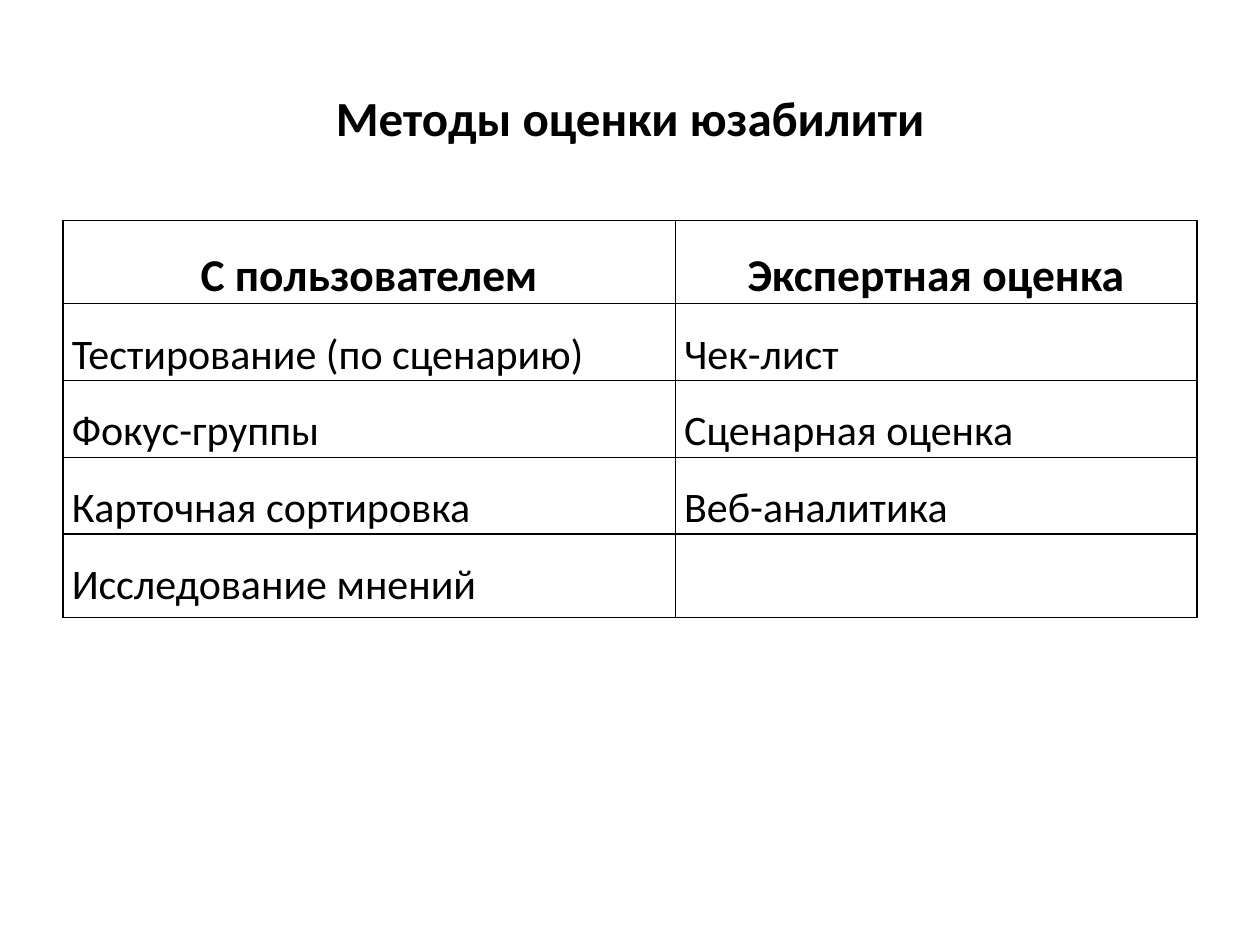
from pptx import Presentation
from pptx.dml.color import RGBColor
from pptx.enum.text import MSO_ANCHOR, PP_ALIGN
from pptx.oxml import parse_xml
from pptx.oxml.ns import nsdecls
from pptx.util import Inches, Pt

BLACK = RGBColor(0x00, 0x00, 0x00)
WHITE = RGBColor(0xFF, 0xFF, 0xFF)
LEFT, CENTER = PP_ALIGN.LEFT, PP_ALIGN.CENTER
MIDDLE = MSO_ANCHOR.MIDDLE
BORDER_SIDES = ("lnL", "lnR", "lnT", "lnB")


class SlideBuilder:
    font_name = "Calibri"
    title_size = 28
    header_size = 26
    body_size = 24
    cell_margin = 0.07
    line_spacing = 1.5
    border_width = 1

    def __init__(self, presentation):
        self.width = presentation.slide_width
        self.height = presentation.slide_height
        self.slide = presentation.slides.add_slide(presentation.slide_layouts[6])
        self.slide.background.fill.solid()
        self.slide.background.fill.fore_color.rgb = WHITE

    def box(self, left, top, width, height):
        return (int(left * self.width), int(top * self.height),
                int(width * self.width), int(height * self.height))

    def add_text(self, paragraph, text, size, bold, alignment):
        paragraph.alignment = alignment
        run = paragraph.add_run()
        run.text = text
        run.font.name = self.font_name
        run.font.size = Pt(size)
        run.font.bold = bold
        run.font.color.rgb = BLACK

    def title(self, text, *shares):
        shape = self.slide.shapes.add_textbox(*self.box(*shares))
        frame = shape.text_frame
        frame.word_wrap = True
        frame.vertical_anchor = MIDDLE
        self.add_text(frame.paragraphs[0], text, self.title_size, True, CENTER)

    def style_cell(self, cell):
        cell.margin_left = cell.margin_right = Inches(self.cell_margin)
        cell.margin_top = cell.margin_bottom = 0
        properties = cell._tc.get_or_add_tcPr()
        for side in BORDER_SIDES:
            properties.append(parse_xml(
                f'<a:{side} {nsdecls("a")} w="{Pt(self.border_width)}">'
                f'<a:solidFill><a:srgbClr val="{BLACK}"/></a:solidFill></a:{side}>'))
        cell.fill.background()

    def table(self, rows, column_shares, row_heights, *shares):
        shape = self.slide.shapes.add_table(
            len(rows), len(column_shares), *self.box(*shares))
        table = shape.table
        table.horz_banding = False
        for column, share in zip(table.columns, column_shares):
            column.width = int(0.9 * self.width * share)
        for row_index, texts in enumerate(rows):
            table.rows[row_index].height = Inches(row_heights[row_index])
            header = row_index == 0
            size = self.header_size if header else self.body_size
            for column_index, text in enumerate(texts):
                cell = table.cell(row_index, column_index)
                self.style_cell(cell)
                if text:
                    paragraph = cell.text_frame.paragraphs[0]
                    paragraph.line_spacing = self.line_spacing
                    self.add_text(paragraph, text, size, header,
                                  CENTER if header else LEFT)


presentation = Presentation()
presentation.slide_width = Inches(10)
presentation.slide_height = Inches(7.5)

METHODS = [
    ("С пользователем", "Экспертная оценка"),
    ("Тестирование (по сценарию)", "Чек-лист"),
    ("Фокус-группы", "Сценарная оценка"),
    ("Карточная сортировка", "Веб-аналитика"),
    ("Исследование мнений", ""),
]

builder = SlideBuilder(presentation)
builder.title("Методы оценки юзабилити", 0.05, 0.04, 0.9, 1 / 6)
builder.table(METHODS, (0.54, 0.46), (0.66, 0.61, 0.61, 0.61, 0.66),
              0.05, 1.75 / 7.5, 0.9, 3.1 / 7.5)

presentation.save("out.pptx")
